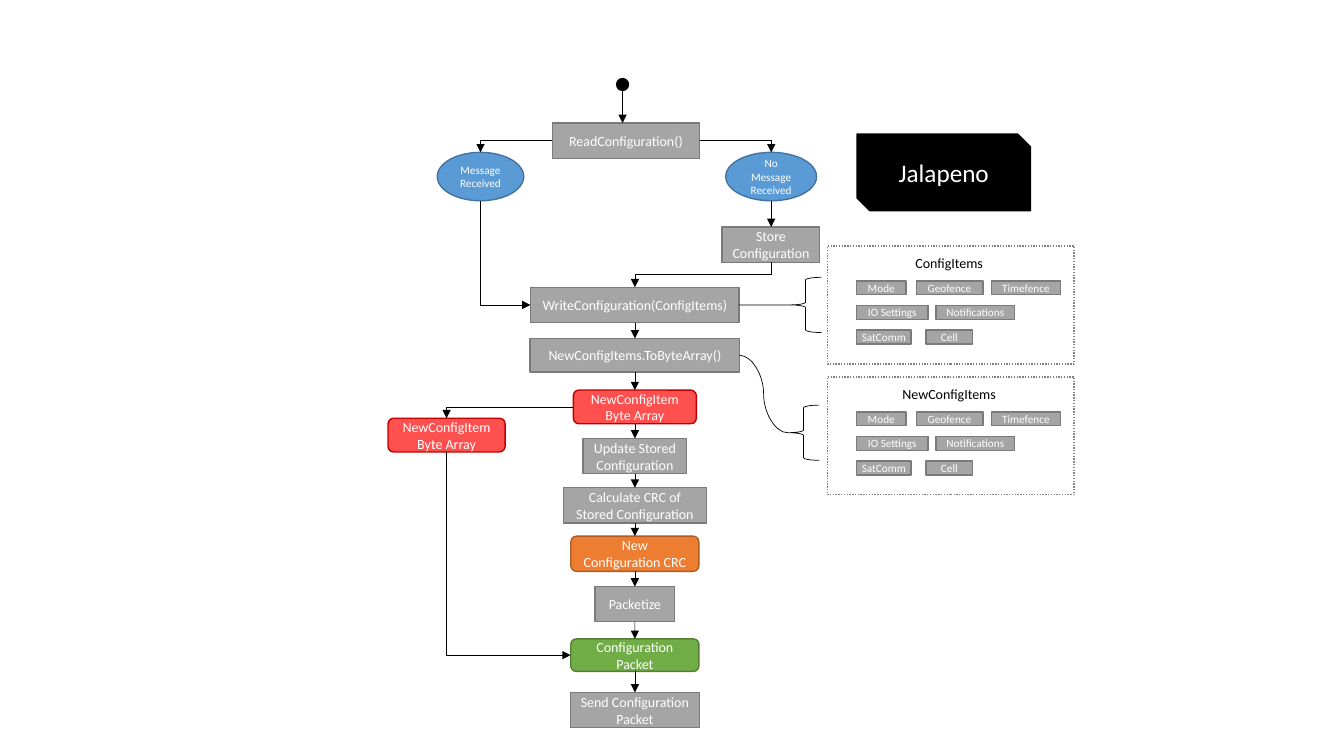
import pptx
import pptx.dml.color
import pptx.enum.dml
import pptx.enum.shapes
import pptx.enum.text
import pptx.oxml
import pptx.oxml.ns
import pptx.util

Cm = pptx.util.Cm
Pt = pptx.util.Pt
SHAPE = pptx.enum.shapes.MSO_SHAPE
LINK = pptx.enum.shapes.MSO_CONNECTOR

GREY = ("A5A5A5", "7A7A7A")
RED = ("FF5050", "C00000")
ORANGE = ("ED7D31", "AF5C24")
GREEN = ("70AD47", "538035")
BLUE = ("5B9BD5", "43739E")
BLACK = ("000000", "000000")
PANEL = ("FFFFFF", "808080")
STEP = SHAPE.RECTANGLE
DATA = SHAPE.FLOWCHART_ALTERNATE_PROCESS

SPINE_CENTRE = 16
SPINE = [
    ("WriteConfiguration(ConfigItems)", STEP, GREY, 7.24, 5.26, 0.89),
    ("NewConfigItems.ToByteArray()", STEP, GREY, 8.53, 5.28, 0.85),
    ("NewConfigItem\nByte Array", DATA, RED, 9.83, 3.1, 0.85),
    ("Update Stored Configuration", STEP, GREY, 11.05, 2.62, 0.89),
    ("Calculate CRC of Stored Configuration", STEP, GREY, 12.29, 3.61, 0.89),
    ("New Configuration CRC", DATA, ORANGE, 13.51, 3.23, 0.89),
    ("Packetize", STEP, GREY, 14.78, 2.01, 0.89),
    ("Configuration Packet", DATA, GREEN, 16.1, 3.23, 0.82),
    ("Send Configuration Packet", STEP, GREY, 17.45, 3.25, 0.89),
]
CHIP_ROWS = [
    [("Mode", 0.74, 1.24), ("Geofence", 2.24, 1.68), ("Timefence", 4.14, 1.73)],
    [("IO Settings", 0.74, 1.8), ("Notifications", 2.74, 1.98)],
    [("SatComm", 0.74, 1.37), ("Cell", 2.49, 1.17)],
]


def colour(value):
    """Turn a hex string into a colour."""
    return pptx.dml.color.RGBColor.from_string(value)


def write(box, text, size, ink="FFFFFF"):
    """Put centred text in a box."""
    frame = box.text_frame
    frame.word_wrap = True
    frame.text = text
    for para in frame.paragraphs:
        para.alignment = pptx.enum.text.PP_ALIGN.CENTER
        for span in para.runs:
            span.font.name = "Calibri"
            span.font.size = Pt(size)
            span.font.color.rgb = colour(ink)


def add_node(shapes, kind, place, palette, text="", size=10):
    """Add a filled shape at a left, top, width, height place in centimetres."""
    box = shapes.add_shape(kind, *map(Cm, place))
    box.shadow.inherit = False
    box.fill.solid()
    box.fill.fore_color.rgb = colour(palette[0])
    box.line.color.rgb = colour(palette[1])
    box.line.width = Pt(1)
    box.text_frame.vertical_anchor = pptx.enum.text.MSO_ANCHOR.MIDDLE
    if text:
        write(box, text, size)
    return box


def side(box, name):
    """Return the middle point of one side of a box."""
    across, down = {"top": (0.5, 0), "left": (0, 0.5),
                    "bottom": (0.5, 1), "right": (1, 0.5)}[name]
    return int(box.left + box.width * across), int(box.top + box.height * down)


def add_link(page, kind, start, end, arrow="tailEnd"):
    """Draw a thin black connector between two points."""
    link = page.shapes.add_connector(kind, *start, *end)
    link.line.color.rgb = colour("000000")
    link.line.width = Pt(0.5)
    properties = link._element.spPr
    if arrow:
        outline = properties.find(pptx.oxml.ns.qn("a:ln"))
        tip = pptx.oxml.parse_xml(
            f'<a:{arrow} {pptx.oxml.ns.nsdecls("a")} type="triangle"/>')
        outline.append(tip)
    properties.append(pptx.oxml.parse_xml(
        f'<a:effectLst {pptx.oxml.ns.nsdecls("a")}/>'))
    return link


def add_corner(page, start, end, arrow="tailEnd"):
    """Draw a one-bend connector that leaves its start sideways."""
    link = add_link(page, LINK.ELBOW, start, end, arrow)
    link._element.spPr.prstGeom.set("prst", "bentConnector2")


def add_step_down(page, start, end):
    """Draw a connector that goes down, to the left and down again."""
    middle_x, middle_y = (start[0] + end[0]) // 2, (start[1] + end[1]) // 2
    half_drop, half_run = (end[1] - start[1]) // 2, (start[0] - end[0]) // 2
    link = add_link(page, LINK.ELBOW,
                    (middle_x - half_drop, middle_y - half_run),
                    (middle_x + half_drop, middle_y + half_run))
    link._element.spPr.xfrm.set("rot", "5400000")


def add_spine(page, centre):
    """Stack the main steps on one axis and join them with arrows."""
    boxes = [add_node(page.shapes, kind, (centre - width / 2, top, width, height),
                      palette, text)
             for text, kind, palette, top, width, height in SPINE]
    for upper, lower in zip(boxes, boxes[1:]):
        link = add_link(page, LINK.STRAIGHT, side(upper, "bottom"), side(lower, "top"))
        link.begin_connect(upper, 2)
        link.end_connect(lower, 0)
    return boxes


def add_entry(page, left, top, target):
    """Add the start, the first step and its two outcomes above the target."""
    shapes = page.shapes
    dot = add_node(shapes, SHAPE.FLOWCHART_CONNECTOR,
                   (left + 4.52, top, 0.3, 0.3), BLACK)
    read = add_node(shapes, STEP, (left + 2.9, top + 1.12, 3.71, 0.89), GREY,
                    "ReadConfiguration()")
    received = add_node(shapes, SHAPE.OVAL, (left, top + 1.86, 2.18, 1.22), BLUE,
                        "Message Received", 8)
    missing = add_node(shapes, SHAPE.OVAL, (left + 7.27, top + 1.86, 2.29, 1.22),
                       BLUE, "No Message Received", 8)
    store = add_node(shapes, STEP, (left + 7.18, top + 3.74, 2.46, 0.89), GREY,
                     "Store Configuration")
    start = side(dot, "bottom")
    add_link(page, LINK.STRAIGHT, start, (start[0], read.top))
    add_corner(page, side(read, "left"), side(received, "top"))
    add_corner(page, side(read, "right"), side(missing, "top"))
    exit_point = side(missing, "bottom")
    add_link(page, LINK.STRAIGHT, exit_point, (exit_point[0], store.top))
    add_step_down(page, side(store, "bottom"), side(target, "top"))
    add_corner(page, side(target, "left"), side(received, "bottom"), "headEnd")


def add_bypass(page, left, top, source, target):
    """Add the byte array that goes straight from source to target."""
    copied = add_node(page.shapes, DATA, (left, top, 2.95, 0.85), RED,
                      "NewConfigItem\nByte Array")
    add_corner(page, side(source, "left"), side(copied, "top"))
    add_corner(page, side(target, "left"), side(copied, "bottom"), "headEnd")


def add_items_panel(page, left, top, heading):
    """Add a dotted panel with a heading and its configuration items."""
    shapes = page.shapes.add_group_shape().shapes
    panel = add_node(shapes, STEP, (left, top, 6.22, 2.97), PANEL)
    panel.line.dash_style = pptx.enum.dml.MSO_LINE.ROUND_DOT
    for row, chips in enumerate(CHIP_ROWS):
        for text, offset, width in chips:
            chip = add_node(shapes, STEP,
                            (left + offset, top + 0.88 + 0.62 * row, width, 0.35),
                            GREY, text, 8)
            frame = chip.text_frame
            frame.margin_left = frame.margin_right = 0
            frame.margin_top = frame.margin_bottom = 0
    label = shapes.add_textbox(Cm(left + 1.57), Cm(top + 0.1), Cm(3), Cm(0.69))
    write(label, heading, 10, "000000")


def add_brace(page, left, top, source):
    """Add a brace and a curve that leads to it from the source."""
    brace = page.shapes.add_shape(SHAPE.LEFT_BRACE, Cm(left), Cm(top), Cm(0.8), Cm(1.39))
    brace.shadow.inherit = False
    brace.fill.background()
    brace.line.color.rgb = colour("000000")
    brace.line.width = Pt(0.5)
    add_link(page, LINK.CURVE, side(source, "right"), side(brace, "left"), None)


def build():
    """Build and save the configuration flow slide."""
    deck = pptx.Presentation()
    deck.slide_width, deck.slide_height = Cm(33.87), Cm(19.05)
    page = deck.slides.add_slide(deck.slide_layouts[6])
    spine = add_spine(page, SPINE_CENTRE)
    add_entry(page, 11.02, 1.98, spine[0])
    add_bypass(page, 9.78, 10.54, spine[2], spine[7])
    add_items_panel(page, 20.85, 6.2, "ConfigItems")
    add_items_panel(page, 20.85, 9.5, "NewConfigItems")
    add_brace(page, 19.9, 6.99, spine[0])
    add_brace(page, 19.85, 10.21, spine[1])
    add_node(page.shapes, SHAPE.SNIP_2_DIAG_RECTANGLE, (21.6, 3.38, 4.37, 1.93),
             BLACK, "Jalapeno", 18)
    deck.save("out.pptx")


build()
